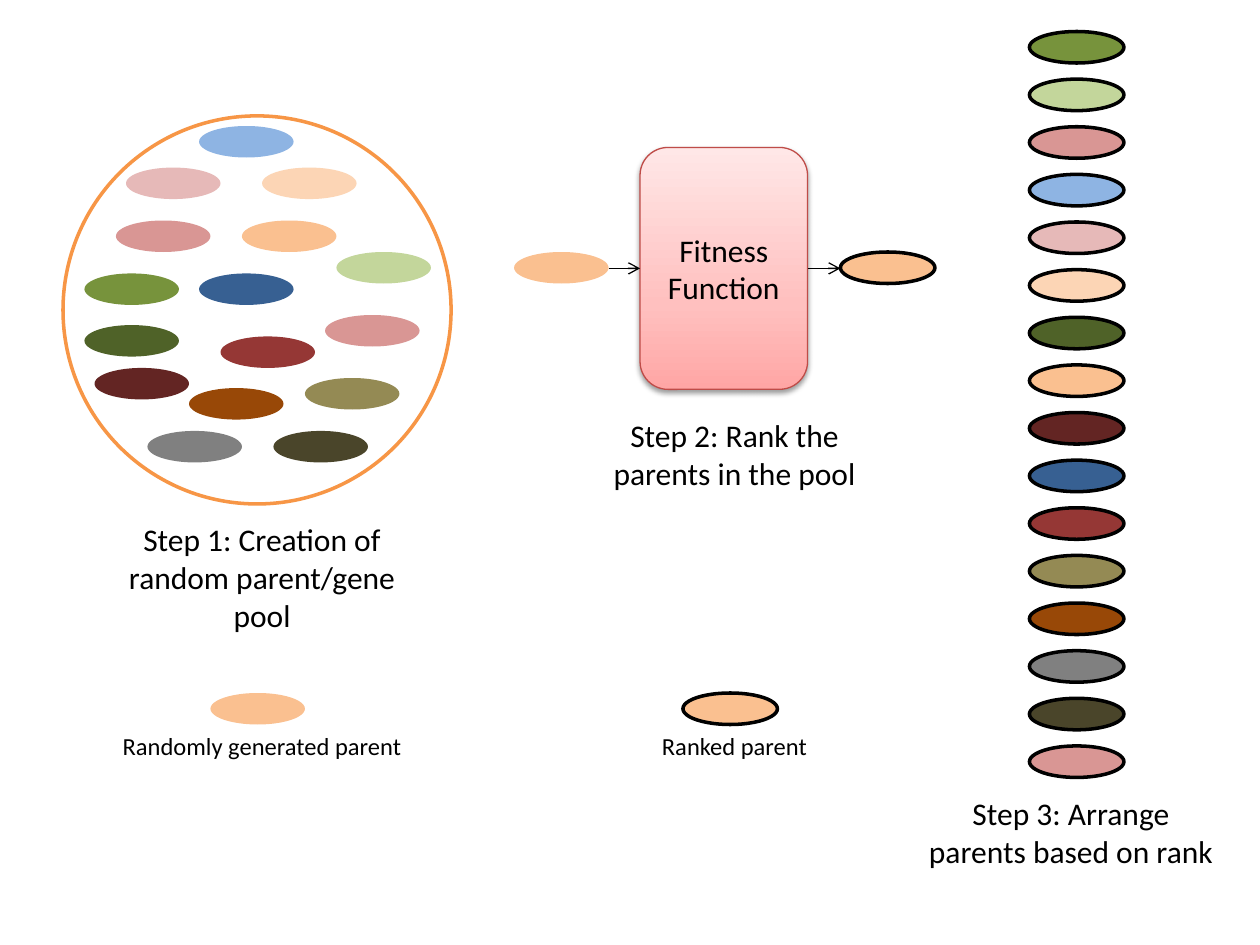
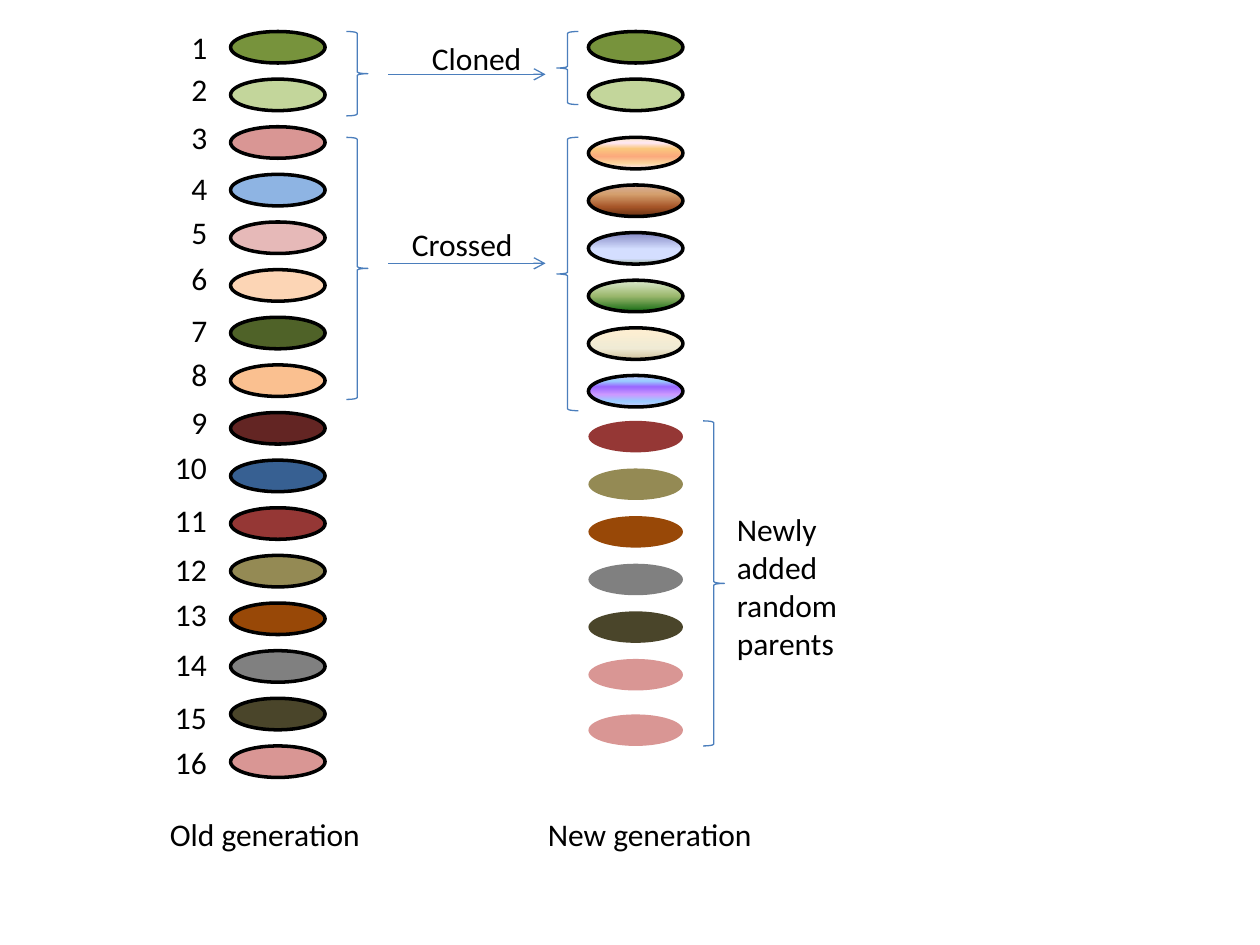
from lxml import etree
from pptx import Presentation
from pptx import util as u
from pptx.dml.color import RGBColor
from pptx.enum import shapes, text
from pptx.oxml.ns import qn

FONT = "Calibri"
BLACK, WHITE, BLUE, ORANGE, PEACH = "000000", "FFFFFF", "4B7EBC", "F79646", "FAC090"
OVAL_W, OVAL_H = 0.75, 0.25
TOP = 0.25
PITCH = (5.92 - TOP) / 15

RANKED = ["77933C", "C3D69B", "D99694", "8EB4E3", "E6B9B8", "FCD5B5", "4F6228", PEACH,
          "632523", "376092", "953735", "948A54", "984807", "808080", "4A452A", "D99694"]

POOL = [
    (1.58, 1, "8EB4E3"), (1, 1.33, "E6B9B8"), (2.08, 1.33, "FCD5B5"), (0.92, 1.75, "D99694"),
    (0.67, 2.17, "77933C"), (1.58, 2.17, "376092"), (1.92, 1.75, PEACH), (0.67, 2.58, "4F6228"),
    (2.67, 2, "C3D69B"), (1.75, 2.67, "953735"), (2.58, 2.5, "D99694"), (1.5, 3.08, "984807"),
    (1.17, 3.42, "808080"), (2.17, 3.42, "4A452A"), (2.42, 3, "948A54"), (0.75, 2.92, "632523"),
]

CROSSED = [
    [(0, "FBEAC7"), (18, "FEE7F2"), (36, "FAC77D"), (61, "FBA97D"), (82, "FBD49C"), (100, "FEE7F2")],
    [(0, "D6B19C"), (30, "D49E6C"), (70, "A65528"), (100, "663012")],
    [(0, "8488C4"), (53, "D4DEFF"), (83, "D4DEFF"), (100, "96AB94")],
    [(0, "DDEBCF"), (50, "9CB86E"), (100, "156B13")],
    [(0, "FFEFD1"), (65, "F0EBD5"), (100, "D1C39F")],
    [(0, "CCCCFF"), (18, "99CCFF"), (36, "9966FF"), (61, "CC99FF"), (82, "99CCFF"), (100, "CCCCFF")],
]

RANK_TOPS = [0.17, 0.51, 0.89, 1.29, 1.64, 2.01, 2.42, 2.77,
             3.15, 3.51, 3.93, 4.32, 4.67, 5.07, 5.49, 5.85]


def rgb(value):
    """Turn a hex string into a colour."""
    return RGBColor.from_string(value)


def write(frame, words, size=18, color=BLACK, align=text.PP_ALIGN.LEFT, wrap=True):
    """Put formatted words into a text frame."""
    frame.word_wrap = wrap
    paragraph = frame.paragraphs[0]
    paragraph.alignment = align
    run = paragraph.add_run()
    run.text = words
    run.font.name = FONT
    run.font.size = u.Pt(size)
    run.font.color.rgb = rgb(color)


def blend(shape, stops, angle):
    """Fill a shape with a linear gradient of percent and colour stops."""
    shape.fill.gradient()
    shape.fill.gradient_angle = angle
    stop_list = shape._element.spPr.find(".//" + qn("a:gsLst"))
    for old_stop in list(stop_list):
        stop_list.remove(old_stop)
    for percent, color in stops:
        stop = etree.SubElement(stop_list, qn("a:gs"), pos=str(percent * 1000))
        etree.SubElement(stop, qn("a:srgbClr"), val=color)


def drop_shadow(shape):
    """Give a shape a soft black shadow straight below it."""
    effects = shape._element.spPr.find(qn("a:effectLst"))
    shadow = etree.SubElement(effects, qn("a:outerShdw"), blurRad=str(u.Pt(3.1)),
                              dist=str(u.Pt(1.6)), dir="5400000", rotWithShape="0")
    black = etree.SubElement(shadow, qn("a:srgbClr"), val=BLACK)
    etree.SubElement(black, qn("a:alpha"), val="38000")


class Board:
    """Holds the shared style and the current slide."""

    def __init__(self):
        """Start an empty presentation."""
        self.deck = Presentation()
        self.deck.slide_width, self.deck.slide_height = u.Inches(10), u.Inches(7.5)
        self.slide = None

    def new_slide(self):
        """Move on to a fresh blank slide."""
        self.slide = self.deck.slides.add_slide(self.deck.slide_layouts[6])

    def shape(self, kind, left, top, width, height, fill=None, line=None, weight=0.75, angle=270):
        """Draw a preset shape with a plain, gradient or empty fill."""
        shape = self.slide.shapes.add_shape(kind, *map(u.Inches, (left, top, width, height)))
        shape.shadow.inherit = False
        if fill is None:
            shape.fill.background()
        elif isinstance(fill, str):
            shape.fill.solid()
            shape.fill.fore_color.rgb = rgb(fill)
        else:
            blend(shape, fill, angle)
        if line:
            shape.line.color.rgb = rgb(line)
            shape.line.width = u.Pt(weight)
        else:
            shape.line.fill.background()
        return shape

    def parent(self, left, top, fill, ranked=False):
        """Draw one parent, outlined when it is ranked."""
        self.shape(shapes.MSO_SHAPE.OVAL, left, top, OVAL_W, OVAL_H, fill,
                   BLACK if ranked else None, 2)

    def column(self, left, top, fills, ranked=True):
        """Stack parents at an even pitch."""
        for i, fill in enumerate(fills):
            self.parent(left, top + i * PITCH, fill, ranked)

    def brace(self, left, top, height, opens_left=False):
        """Draw a curly brace around a group."""
        kind = shapes.MSO_SHAPE.LEFT_BRACE if opens_left else shapes.MSO_SHAPE.RIGHT_BRACE
        self.shape(kind, left, top, 0.17, height, line=BLUE)

    def label(self, words, left, top, width, height=0.4, **style):
        """Place a text box."""
        box = self.slide.shapes.add_textbox(*map(u.Inches, (left, top, width, height)))
        write(box.text_frame, words, **style)
        box.text_frame.auto_size = text.MSO_AUTO_SIZE.SHAPE_TO_FIT_TEXT

    def caption(self, words, left, top, height, size=18):
        """Place a centred caption."""
        self.label(words, left, top, 2.5, height, size=size, align=text.PP_ALIGN.CENTER)

    def arrow(self, start, end, y, color):
        """Draw a level arrow from left to right."""
        arrow = self.slide.shapes.add_connector(
            shapes.MSO_CONNECTOR.STRAIGHT, *map(u.Inches, (start, y, end, y)))
        arrow.line.color.rgb = rgb(color)
        arrow.line.width = u.Pt(0.75)
        etree.SubElement(arrow.line._get_or_add_ln(), qn("a:tailEnd"), type="arrow")
        etree.SubElement(arrow._element.spPr, qn("a:effectLst"))
        return arrow


def ranking_slide(board):
    """Show how parents are created, ranked and arranged."""
    board.new_slide()
    board.shape(shapes.MSO_SHAPE.OVAL, 0.5, 0.92, 3.08, 3.08, WHITE, ORANGE, 2)
    for left, top, fill in POOL:
        board.parent(left, top, fill)
    board.caption("Step 1: Creation of random parent/gene pool", 0.83, 4.08, 1.01)

    board.parent(1.67, 5.5, PEACH)
    board.caption("Randomly generated parent", 0.83, 5.75, 0.34, size=14)
    board.parent(5.42, 5.5, PEACH, ranked=True)
    board.caption("Ranked parent", 4.58, 5.75, 0.34, size=14)

    fitness = board.shape(shapes.MSO_SHAPE.ROUNDED_RECTANGLE, 5.08, 1.17, 1.33, 1.92,
                          [(0, "FFA6A5"), (35, "FFC0BF"), (100, "FFE7E7")], "BF4C48", angle=90)
    drop_shadow(fitness)
    write(fitness.text_frame, "Fitness Function", align=text.PP_ALIGN.CENTER)
    fitness.text_frame.vertical_anchor = text.MSO_ANCHOR.MIDDLE
    board.parent(4.08, 2, PEACH)
    board.arrow(4.83, 5.08, 2.13, BLACK).end_connect(fitness, 1)
    board.arrow(6.41, 6.67, 2.13, BLACK).begin_connect(fitness, 3)
    board.parent(6.67, 2, PEACH, ranked=True)
    board.caption("Step 2: Rank the parents in the pool", 4.58, 3.25, 0.71)

    board.column(8.17, TOP, RANKED)
    board.caption("Step 3: Arrange parents based on rank", 7.25, 6.25, 0.71)


def generation_slide(board):
    """Show how the old generation turns into the new one."""
    board.new_slide()
    board.column(1.83, TOP, RANKED)
    for rank, top in enumerate(RANK_TOPS, 1):
        width = 0.33 if rank < 10 else 0.46
        board.label(str(rank), 1.75 - width, top, width, wrap=False)
    board.brace(2.75, TOP, 0.67)
    board.brace(2.75, 1.09, 2.08)

    board.column(4.67, TOP, RANKED[:2])
    board.column(4.67, 1.09, CROSSED)
    newcomers = RANKED[10:]
    board.column(4.67, 3.34, newcomers, ranked=False)
    board.parent(4.67, 5.67, newcomers[-1])
    board.brace(4.42, TOP, 0.58, opens_left=True)
    board.brace(4.42, 1.09, 2.17, opens_left=True)
    board.brace(5.58, 3.34, 2.58)

    for y in (0.59, 2.09):
        board.arrow(3.08, 4.33, y, BLUE)
    for words, left, top, width in [
        ("Cloned", 3.33, 0.26, 0.92),
        ("Crossed", 3.17, 1.74, 1.01),
        ("Old generation", 1.25, 6.42, 1.73),
        ("New generation", 4.25, 6.42, 1.84),
    ]:
        board.label(words, left, top, width, wrap=False)
    board.label("Newly added random parents", 5.75, 4, 1.42, 1.31)


def main():
    """Build and save both slides."""
    board = Board()
    ranking_slide(board)
    generation_slide(board)
    board.deck.save("out.pptx")


if __name__ == "__main__":
    main()
